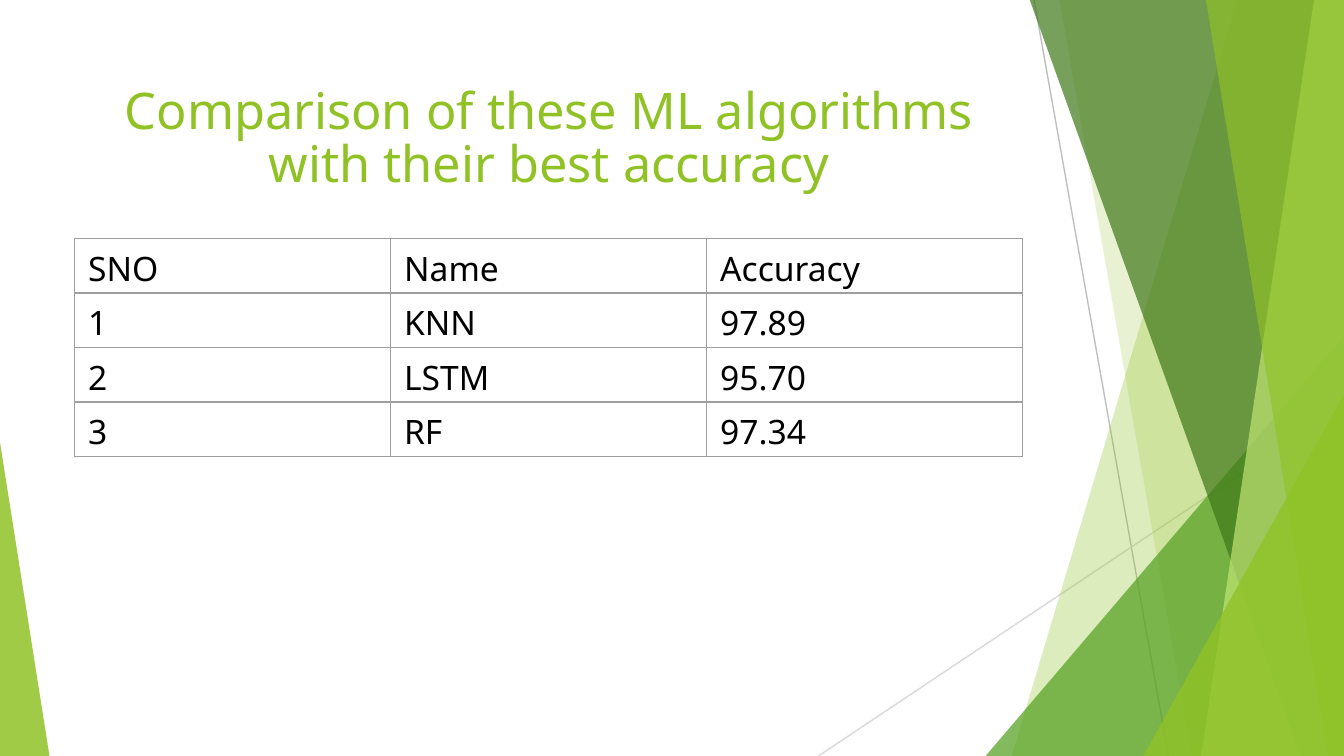
import pptx
import pptx.util
import pptx.dml.color
import pptx.enum.shapes
import pptx.enum.text
import pptx.oxml
import pptx.oxml.ns
import lxml.etree

Pt = pptx.util.Pt
qn = pptx.oxml.ns.qn


def color(value):
    return pptx.dml.color.RGBColor.from_string(value)


def paint(shape, value, opacity):
    shape.shadow.inherit = False
    shape.line.fill.background()
    shape.fill.solid()
    shape.fill.fore_color.rgb = color(value)
    tint = shape.fill._xPr.find(".//" + qn("a:srgbClr"))
    lxml.etree.SubElement(tint, qn("a:alpha")).set("val", str(opacity * 1000))


deck = pptx.Presentation()
deck.slide_width = Pt(720)
deck.slide_height = Pt(405)
page = deck.slides.add_slide(deck.slide_layouts[6])
backdrop = page.shapes.add_group_shape().shapes

rays = [(554, 0, 626, 405, "BFBFBF"), (720, 217, 438.5, 405, "D9D9D9")]
for x1, y1, x2, y2, value in rays:
    ray = backdrop.add_connector(
        pptx.enum.shapes.MSO_CONNECTOR.STRAIGHT, Pt(x1), Pt(y1), Pt(x2), Pt(y2))
    ray.line.color.rgb = color(value)
    ray.line.width = Pt(0.75)
    lxml.etree.SubElement(ray._element.spPr, qn("a:effectLst"))

facets = [
    ("band", 663, 542, "90C226", 30),
    ("band", 567.5, 638.5, "90C226", 20),
    ("triangle", 528, 720, 180, 1, "54A021", 72),
    ("band", 551.5, 697, "3F7819", 70),
    ("band", 704, 643.5, "C0E474", 70),
    ("band", 646, 711.5, "90C226", 65),
    ("triangle", 612.5, 720, 211.5, 1, "90C226", 80),
    ("triangle", 0, 26.5, 237, 0, "90C226", 85),
]
for kind, *layout, value, opacity in facets:
    if kind == "band":
        top_x, bottom_x = layout
        outline = backdrop.build_freeform(Pt(top_x), Pt(-0.5))
        outline.add_line_segments(
            [(Pt(720), Pt(-0.5)), (Pt(720), Pt(405)), (Pt(bottom_x), Pt(405))], close=True)
        facet = outline.convert_to_shape()
    else:
        left, right, top, apex = layout
        facet = backdrop.add_shape(
            pptx.enum.shapes.MSO_SHAPE.ISOSCELES_TRIANGLE,
            Pt(left), Pt(top), Pt(right - left), Pt(405 - top))
        facet.adjustments[0] = apex
    paint(facet, value, opacity)

title = page.shapes.add_textbox(Pt(40), Pt(36), Pt(508), Pt(78))
frame = title.text_frame
frame.word_wrap = True
frame.vertical_anchor = pptx.enum.text.MSO_ANCHOR.MIDDLE
frame.text = "Comparison of these ML algorithms with their best accuracy"
para = frame.paragraphs[0]
para.alignment = pptx.enum.text.PP_ALIGN.CENTER
para.line_spacing = 0.87
span = para.runs[0]
span.font.name = "Noto Sans"
span.font.size = Pt(27)
span.font.color.rgb = color("90C226")

rows = [
    ("SNO", "Name", "Accuracy"),
    ("1", "KNN", "97.89"),
    ("2", "LSTM", "95.70"),
    ("3", "RF", "97.34"),
]
table = page.shapes.add_table(
    len(rows), 3, Pt(40), Pt(127.75), Pt(508), Pt(29.2 * len(rows))).table
table.first_row = False
table.horz_banding = False
for row, texts in enumerate(rows):
    for column, text in enumerate(texts):
        cell = table.cell(row, column)
        cell.text = text
        span = cell.text_frame.paragraphs[0].runs[0]
        span.font.name = "Noto Sans"
        span.font.size = Pt(18)
        span.font.color.rgb = color("000000")
        properties = cell._tc.get_or_add_tcPr()
        for side in ("lnL", "lnR", "lnT", "lnB"):
            border = lxml.etree.SubElement(properties, qn("a:" + side), w=str(Pt(0.75)))
            solid = lxml.etree.SubElement(border, qn("a:solidFill"))
            lxml.etree.SubElement(solid, qn("a:srgbClr"), val="9E9E9E")
        cell.fill.background()

deck.save("out.pptx")
